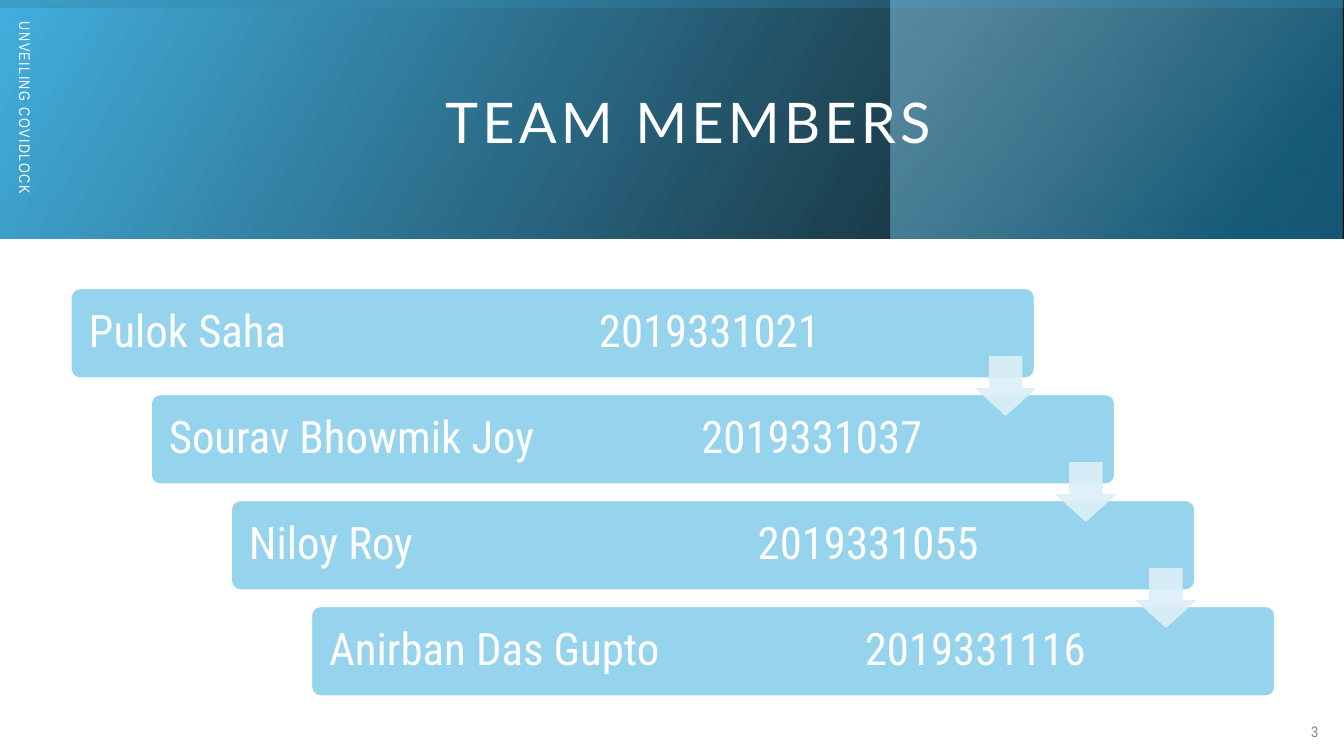
from dataclasses import dataclass

from lxml import etree
from pptx import Presentation
from pptx import util as u
from pptx.dml.color import RGBColor
from pptx.enum import shapes, text
from pptx.oxml import ns


@dataclass(frozen=True)
class Theme:
    white: str = "FFFFFF"
    bar: str = "96D3ED"
    arrow: str = "DDEFF8"
    sky: str = "43B0DF"
    ocean: str = "1C7CA5"
    black: str = "000000"
    grey: str = "808080"
    title_font: str = "Lato"
    body_font: str = "Roboto Condensed"
    small_font: str = "Arial Narrow"
    title_size: int = 40
    body_size: int = 32
    small_size: int = 11


@dataclass(frozen=True)
class Box:
    left: float
    top: float
    width: float
    height: float


@dataclass(frozen=True)
class Stop:
    position: int
    colour: str
    opacity: int = 100


@dataclass(frozen=True)
class Panel:
    box: Box
    angle: int
    stops: tuple[Stop, ...]
    rotation: int = 0


@dataclass(frozen=True)
class Member:
    name: str
    number: str
    tab: float


@dataclass(frozen=True)
class Style:
    font: str
    size: int
    colour: str
    spacing: int = 0


THEME = Theme()
TITLE = Style(THEME.title_font, THEME.title_size, THEME.white, 3)
BODY = Style(THEME.body_font, THEME.body_size, THEME.white)
SIDE = Style(THEME.small_font, THEME.small_size, THEME.white, 1)
NUMBER = Style(THEME.small_font, THEME.small_size, THEME.grey, 2)

PANELS = (
    Panel(Box(0, 0, 33.87, 6.02), 330,
          (Stop(0, THEME.black, 96), Stop(100, THEME.sky))),
    Panel(Box(22.45, 0, 11.39, 6.02), 320,
          (Stop(19, THEME.ocean, 68), Stop(100, THEME.bar, 48))),
    Panel(Box(13.92, -13.92, 6.02, 33.87), 350,
          (Stop(23, THEME.sky, 16), Stop(99, THEME.black, 45)), 270),
)
MEMBERS = (
    Member("Pulok Saha", "2019331021", 12.86),
    Member("Sourav Bhowmik Joy", "2019331037", 13.42),
    Member("Niloy Roy", "2019331055", 12.82),
    Member("Anirban Das Gupto", "2019331116", 13.5),
)
FIRST_BAR = Box(1.79, 7.27, 24.28, 2.26)
STEP_X, STEP_Y = 2.02, 2.67
ARROW_OFFSET_X, ARROW_OFFSET_Y, ARROW_SIDE = 22.82, 1.72, 1.47


def place(box: Box) -> tuple:
    return u.Cm(box.left), u.Cm(box.top), u.Cm(box.width), u.Cm(box.height)


def add_shape(page, kind, box: Box):
    shape = page.shapes.add_shape(kind, *place(box))
    shape.shadow.inherit = False
    return shape


def add_span(para, words: str, style: Style) -> None:
    span = para.add_run()
    span.text = words
    span.font.name = style.font
    span.font.size = u.Pt(style.size)
    span.font.color.rgb = RGBColor.from_string(style.colour)
    if style.spacing:
        span.font._element.set("spc", str(style.spacing * 100))


def fade(fill_owner, opacity: int) -> None:
    for colour in fill_owner.iter(ns.qn("a:srgbClr")):
        etree.SubElement(colour, ns.qn("a:alpha")).set("val", str(opacity * 1000))


def add_panel(page, panel: Panel) -> None:
    shape = add_shape(page, shapes.MSO_SHAPE.RECTANGLE, panel.box)
    shape.rotation = panel.rotation
    shape.line.fill.background()
    properties = shape._element.spPr
    properties.xfrm.set("flipH", "1")
    gradient = etree.Element(ns.qn("a:gradFill"), rotWithShape="1")
    stop_list = etree.SubElement(gradient, ns.qn("a:gsLst"))
    for stop in panel.stops:
        mark = etree.SubElement(stop_list, ns.qn("a:gs"), pos=str(stop.position * 1000))
        etree.SubElement(mark, ns.qn("a:srgbClr"), val=stop.colour)
        fade(mark, stop.opacity)
    etree.SubElement(gradient, ns.qn("a:lin"), ang=str(panel.angle * 60000), scaled="0")
    properties.find(ns.qn("a:prstGeom")).addnext(gradient)


def add_title(page, words: str) -> None:
    title = page.shapes.title
    title.left, title.top, title.width, title.height = place(Box(3.84, 0.97, 27, 4.37))
    frame = title.text_frame
    frame.word_wrap = True
    frame.vertical_anchor = text.MSO_ANCHOR.MIDDLE
    para = frame.paragraphs[0]
    para.alignment = text.PP_ALIGN.CENTER
    para.line_spacing = 0.9
    add_span(para, words, TITLE)
    page.shapes._spTree.append(title._element)


def add_label(page, words: str, box: Box, style: Style, alignment, rotation: int = 0) -> None:
    label = page.shapes.add_textbox(*place(box))
    label.rotation = rotation
    frame = label.text_frame
    frame.word_wrap = True
    frame.vertical_anchor = text.MSO_ANCHOR.MIDDLE
    para = frame.paragraphs[0]
    para.alignment = alignment
    para.space_after = u.Pt(6)
    add_span(para, words, style)


def add_member(page, member: Member, box: Box) -> None:
    bar = add_shape(page, shapes.MSO_SHAPE.ROUNDED_RECTANGLE, box)
    bar.adjustments[0] = 0.1
    bar.fill.solid()
    bar.fill.fore_color.rgb = RGBColor.from_string(THEME.bar)
    bar.line.color.rgb = RGBColor.from_string(THEME.white)
    bar.line.width = u.Pt(1)
    frame = bar.text_frame
    frame.word_wrap = True
    frame.vertical_anchor = text.MSO_ANCHOR.MIDDLE
    frame.margin_left = frame.margin_right = u.Cm(0.38)
    para = frame.paragraphs[0]
    tabs = etree.SubElement(para._p.get_or_add_pPr(), ns.qn("a:tabLst"))
    etree.SubElement(tabs, ns.qn("a:tab"), pos=str(u.Cm(member.tab)), algn="l")
    para.alignment = text.PP_ALIGN.LEFT
    para.line_spacing = 0.9
    add_span(para, f"{member.name}\t{member.number}", BODY)


def add_arrow(page, box: Box) -> None:
    arrow = add_shape(page, shapes.MSO_SHAPE.DOWN_ARROW, box)
    arrow.adjustments[0] = 0.55
    arrow.adjustments[1] = 0.45
    arrow.fill.solid()
    arrow.fill.fore_color.rgb = RGBColor.from_string(THEME.arrow)
    arrow.line.color.rgb = RGBColor.from_string(THEME.arrow)
    arrow.line.width = u.Pt(1)
    fade(arrow._element.spPr, 90)


def main() -> None:
    deck = Presentation()
    deck.slide_width, deck.slide_height = u.Cm(33.87), u.Cm(19.05)
    page = deck.slides.add_slide(deck.slide_layouts[5])
    for panel in PANELS:
        add_panel(page, panel)
    add_title(page, "TEAM MEMBERS")
    add_label(page, "UNVEILING COVIDLOCK", Box(-5.08, 5.51, 11.43, 1.02), SIDE,
              text.PP_ALIGN.LEFT, 90)
    add_label(page, "3", Box(32.51, 17.93, 1.24, 1.02), NUMBER, text.PP_ALIGN.CENTER)
    bars = [Box(FIRST_BAR.left + STEP_X * row, FIRST_BAR.top + STEP_Y * row,
                FIRST_BAR.width, FIRST_BAR.height) for row in range(len(MEMBERS))]
    for member, bar in zip(MEMBERS, bars):
        add_member(page, member, bar)
    for bar in bars[:-1]:
        add_arrow(page, Box(bar.left + ARROW_OFFSET_X, bar.top + ARROW_OFFSET_Y,
                            ARROW_SIDE, ARROW_SIDE))
    deck.save("out.pptx")


if __name__ == "__main__":
    main()
